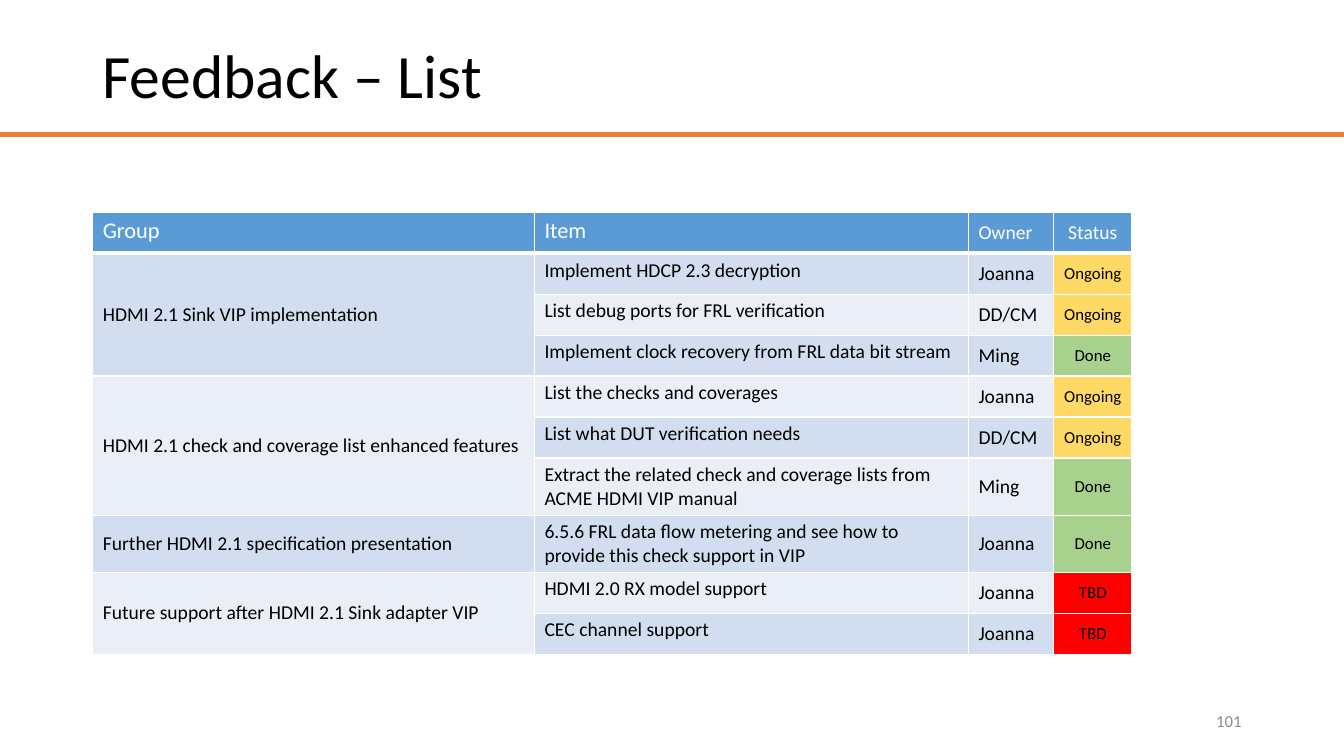
"""Build the feedback list slide with its status table."""
from lxml.etree import SubElement
from pptx import Presentation
from pptx.dml.color import RGBColor
from pptx.enum.shapes import MSO_CONNECTOR
from pptx.enum.text import MSO_ANCHOR, PP_ALIGN
from pptx.oxml.ns import qn
from pptx.util import Pt

TITLE = "Feedback – List"
PAGE_NUMBER = "101"
HEADERS = ("Group", "Item", "Owner", "Status")
GROUPS = [
    ("HDMI 2.1 Sink VIP implementation", [
        ("Implement HDCP 2.3 decryption", "Joanna", "Ongoing"),
        ("List debug ports for FRL verification", "DD/CM", "Ongoing"),
        ("Implement clock recovery from FRL data bit stream", "Ming", "Done"),
    ]),
    ("HDMI 2.1 check and coverage list enhanced features", [
        ("List the checks and coverages", "Joanna", "Ongoing"),
        ("List what DUT verification needs", "DD/CM", "Ongoing"),
        ("Extract the related check and coverage lists from ACME HDMI VIP manual", "Ming", "Done"),
    ]),
    ("Further HDMI 2.1 specification presentation", [
        ("6.5.6 FRL data flow metering and see how to provide this check support in VIP",
         "Joanna", "Done"),
    ]),
    ("Future support after HDMI 2.1 Sink adapter VIP", [
        ("HDMI 2.0 RX model support", "Joanna", "TBD"),
        ("CEC channel support", "Joanna", "TBD"),
    ]),
]
STATUS_FILLS = {"Ongoing": "FFD966", "Done": "A9D18E", "TBD": "FF0000"}
BAND_FILLS = ("EAEFF7", "D2DEEF")
HEADER_FILL = "5B9BD5"
HEADER_SIZES = (16, 16, 14, 14)
BODY_SIZES = (14, 14, 14, 12)
COLUMN_WIDTHS = (315.5, 310, 60.9, 55.9)
ROW_HEIGHT = 29.25
ITEM, STATUS = 1, 3
FONT = "Calibri"


def color(value):
    return RGBColor.from_string(value)


def format_text(frame, size, ink, align=PP_ALIGN.LEFT):
    for para in frame.paragraphs:
        para.alignment = align
        for span in para.runs:
            span.font.name = FONT
            span.font.size = Pt(size)
            span.font.bold = False
            span.font.color.rgb = color(ink)


def add_borders(cell, bottom):
    properties = cell._tc.get_or_add_tcPr()
    for side, width in (("L", 1), ("R", 1), ("T", 1), ("B", bottom)):
        line = SubElement(properties, qn(f"a:ln{side}"), w=str(Pt(width)))
        fill = SubElement(line, qn("a:solidFill"))
        SubElement(fill, qn("a:srgbClr"), val="FFFFFF")


def fill_cell(table, row, column, text):
    cell = table.cell(row, column)
    header = row == 0
    cell.text_frame.text = text
    size = (HEADER_SIZES if header else BODY_SIZES)[column]
    align = PP_ALIGN.CENTER if column == STATUS else PP_ALIGN.LEFT
    format_text(cell.text_frame, size, "FFFFFF" if header else "000000", align)
    top = column == ITEM or (header and column == 0)
    cell.vertical_anchor = MSO_ANCHOR.TOP if top else MSO_ANCHOR.MIDDLE
    add_borders(cell, 3 if header else 1)
    band = HEADER_FILL if header else BAND_FILLS[row % 2]
    cell.fill.solid()
    cell.fill.fore_color.rgb = color(band if header else STATUS_FILLS.get(text, band))


def add_rule(slide, width):
    rule = slide.shapes.add_connector(MSO_CONNECTOR.STRAIGHT, 0, Pt(96), width, Pt(96))
    rule.line.color.rgb = color("ED7D31")
    rule.line.width = Pt(4)
    SubElement(rule._element.spPr, qn("a:effectLst"))


def add_title(slide):
    title = slide.shapes.title
    title.left, title.top, title.width, title.height = Pt(66), Pt(28.8), Pt(828), Pt(104.4)
    title.text_frame.text = TITLE
    title.text_frame.vertical_anchor = MSO_ANCHOR.TOP
    title.text_frame.paragraphs[0].line_spacing = 0.9
    format_text(title.text_frame, 44, "000000")


def add_page_number(slide):
    box = slide.shapes.add_textbox(Pt(678), Pt(500.5), Pt(216), Pt(28.75))
    box.text_frame.word_wrap = True
    box.text_frame.text = PAGE_NUMBER
    box.text_frame.vertical_anchor = MSO_ANCHOR.MIDDLE
    format_text(box.text_frame, 12, "8C8C8C", PP_ALIGN.RIGHT)


def add_feedback_table(slide):
    rows = [HEADERS]
    spans = []
    for group, items in GROUPS:
        spans.append((len(rows), len(rows) + len(items) - 1))
        for index, item in enumerate(items):
            rows.append(("" if index else group, *item))
    frame = slide.shapes.add_table(len(rows), len(HEADERS), Pt(66.25), Pt(151.75),
                                   Pt(sum(COLUMN_WIDTHS)), Pt(ROW_HEIGHT * len(rows)))
    table = frame.table
    for column, width in zip(table.columns, COLUMN_WIDTHS):
        column.width = Pt(width)
    for row, texts in enumerate(rows):
        table.rows[row].height = Pt(ROW_HEIGHT)
        for column, text in enumerate(texts):
            fill_cell(table, row, column, text)
    for first, last in spans:
        if last > first:
            table.cell(first, 0).merge(table.cell(last, 0))


def main():
    deck = Presentation()
    deck.slide_width, deck.slide_height = Pt(960), Pt(540)
    slide = deck.slides.add_slide(deck.slide_layouts[5])
    add_rule(slide, deck.slide_width)
    add_title(slide)
    add_page_number(slide)
    add_feedback_table(slide)
    deck.save("out.pptx")


if __name__ == "__main__":
    main()
